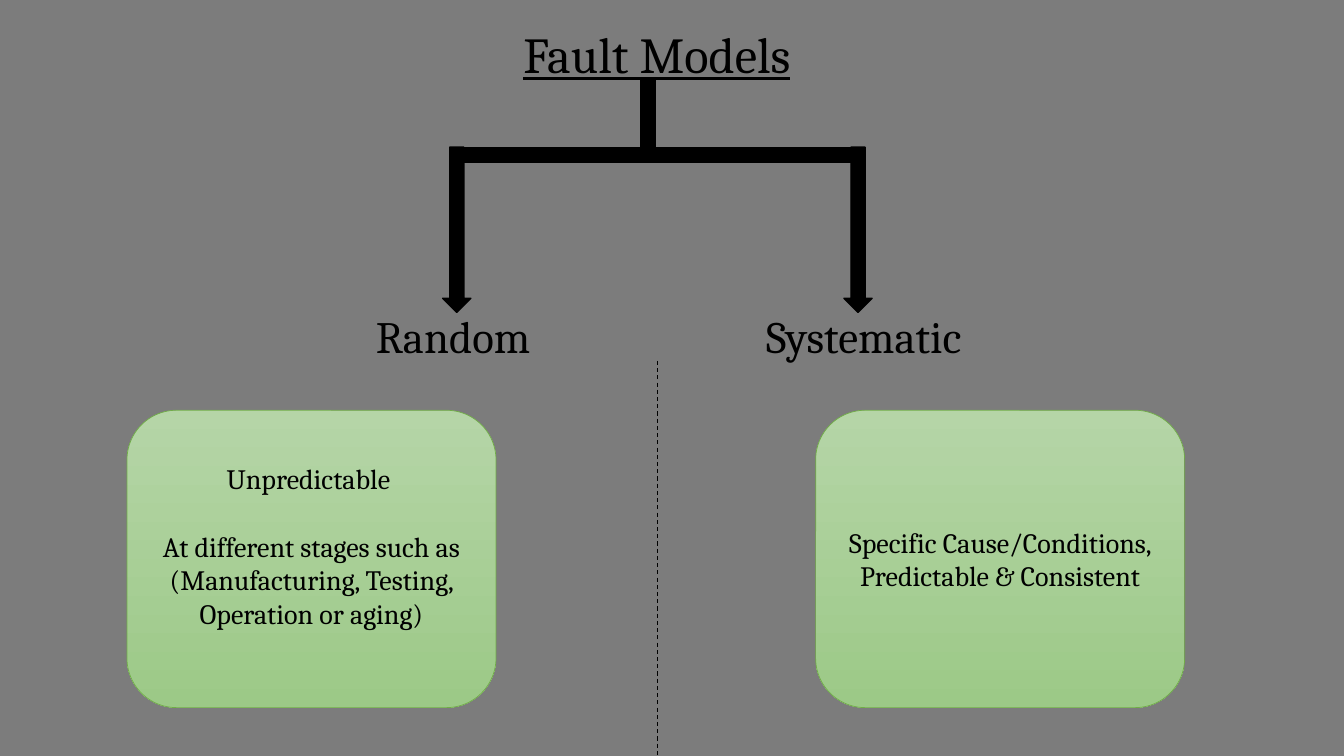
from lxml import etree
from pptx import Presentation
from pptx.dml.color import RGBColor
from pptx.enum.dml import MSO_LINE
from pptx.enum.shapes import MSO_CONNECTOR, MSO_SHAPE
from pptx.enum.text import MSO_ANCHOR, MSO_AUTO_SIZE, PP_ALIGN
from pptx.oxml.ns import qn
from pptx.util import Inches, Pt

MINUS = MSO_SHAPE.MATH_MINUS
ARROW = MSO_SHAPE.RIGHT_ARROW
ROUND = MSO_SHAPE.ROUNDED_RECTANGLE
STRAIGHT = MSO_CONNECTOR.STRAIGHT
DASH = MSO_LINE.DASH
LEFT, CENTER = PP_ALIGN.LEFT, PP_ALIGN.CENTER
TOP, MIDDLE = MSO_ANCHOR.TOP, MSO_ANCHOR.MIDDLE
FIXED = MSO_AUTO_SIZE.NONE


def color(code):
    return RGBColor.from_string(code)


def inches(*values):
    return [Inches(v) for v in values]


class Board:
    font = "Cambria"
    ink = "000000"
    back = "7C7C7C"
    edge = "70AD47"
    shades = ("B5D5A7", "9CC987")

    def __init__(self, deck):
        self.slide = deck.slides.add_slide(deck.slide_layouts[5])
        self.shapes = self.slide.shapes
        fill = self.slide.background.fill
        fill.solid()
        fill.fore_color.rgb = color(self.back)

    def letter(self, shape, lines, size, align=LEFT, anchor=TOP, gap=0, under=None):
        """Set the lines as styled paragraphs of the shape."""
        frame = shape.text_frame
        frame.text = "\n".join(lines)
        look = {"word_wrap": True, "auto_size": FIXED, "vertical_anchor": anchor}
        for name, value in look.items():
            setattr(frame, name, value)
        style = {"name": self.font, "size": Pt(size), "underline": under}
        for i, para in enumerate(frame.paragraphs):
            para.alignment = align
            para.space_before = Pt(gap if i else 0)
            font = para.runs[0].font
            for name, value in style.items():
                setattr(font, name, value)
            font.color.rgb = color(self.ink)

    def title(self, at, text, size):
        shape = self.shapes.title
        for name, value in zip(("left", "top", "width", "height"), inches(*at)):
            setattr(shape, name, value)
        self.letter(shape, [text], size, under=True)

    def label(self, at, text, size):
        self.letter(self.shapes.add_textbox(*inches(*at)), [text], size)

    def shape(self, kind, at, edge, width):
        shape = self.shapes.add_shape(kind, *inches(*at))
        shape.shadow.inherit = False
        shape.line.color.rgb = color(edge)
        shape.line.width = Pt(width)
        return shape

    def bar(self, kind, at, turn):
        """Add a solid part of the tree, turned by degrees."""
        shape = self.shape(kind, at, self.ink, 1)
        shape.rotation = turn
        shape.fill.solid()
        shape.fill.fore_color.rgb = color(self.ink)

    def card(self, at, lines, foot=0.05):
        """Add a shaded card; foot is the inset below its text."""
        shape = self.shape(ROUND, at, self.edge, 0.5)
        shape.fill.gradient()
        shape.fill.gradient_angle = 270
        for stop, shade in zip(shape.fill.gradient_stops, self.shades):
            stop.color.rgb = color(shade)
        self.letter(shape, lines, 20, CENTER, MIDDLE, gap=24)
        shape.text_frame.margin_bottom = Inches(foot)

    def rule(self, x, top, end):
        line = self.shapes.add_connector(STRAIGHT, *inches(x, top, x, end))
        line.line.color.rgb = color(self.ink)
        line.line.width = Pt(0.75)
        line.line.dash_style = DASH
        etree.SubElement(line._element.spPr, qn("a:effectLst"))


def main():
    deck = Presentation()
    deck.slide_width, deck.slide_height = inches(13.33, 7.5)
    board = Board(deck)

    board.title((5.09, 0.18, 3.15, 0.71), "Fault Models", 36)
    board.bar(MINUS, (5.89, 0.85, 1.08, 0.63), 90)
    board.bar(MINUS, (3.78, 1.22, 5.49, 0.63), 180)
    for x in (7.69, 3.71):
        board.bar(ARROW, (x, 2.14, 1.64, 0.28), 90)
    for x, width, text in ((3.63, 1.8, "Random"), (7.5, 2.29, "Systematic")):
        board.label((x, 3.01, width, 0.64), text, 32)
    board.rule(6.52, 3.58, 7.5)

    random = [
        "Unpredictable ",
        "At different stages such as (Manufacturing, Testing, Operation or aging)",
    ]
    system = ["Specific Cause/Conditions, Predictable & Consistent"]
    for x, lines, foot in ((1.26, random, 0.31), (8.09, system, 0.05)):
        board.card((x, 4.07, 3.66, 2.95), lines, foot)

    deck.save("out.pptx")


if __name__ == "__main__":
    main()
